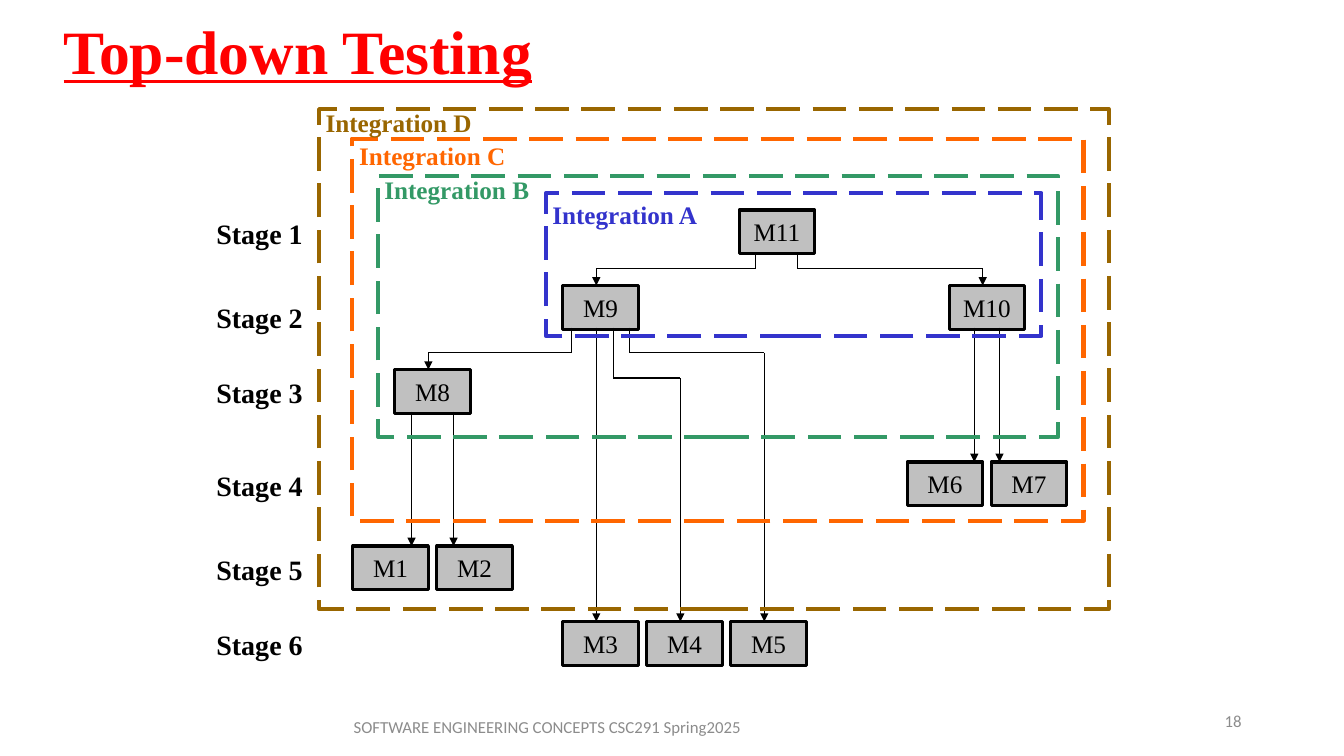
from lxml import etree
from pptx import Presentation
from pptx.dml.color import RGBColor
from pptx.enum.dml import MSO_LINE
from pptx.enum.shapes import MSO_CONNECTOR, MSO_SHAPE
from pptx.enum.text import MSO_ANCHOR, PP_ALIGN
from pptx.oxml.ns import qn
from pptx.util import Cm, Pt

LEFT, CENTER, RIGHT = PP_ALIGN.LEFT, PP_ALIGN.CENTER, PP_ALIGN.RIGHT
TOP, MIDDLE = MSO_ANCHOR.TOP, MSO_ANCHOR.MIDDLE
RECTANGLE = MSO_SHAPE.RECTANGLE
STRAIGHT = MSO_CONNECTOR.STRAIGHT
LONG_DASH = MSO_LINE.LONG_DASH

SERIF, SANS = "Times New Roman", "Calibri"
COLORS = {
    "title": "FF0000", "ink": "000000", "module": "C0C0C0", "footer": "8C8C8C",
    "A": "3333CC", "B": "339966", "C": "FF6600", "D": "996600",
}

# The diagram sits on a grid of twelve units to 2.54 cm.
MODULE_WIDTH, MODULE_HEIGHT = 9, 5.2
MODULES = {
    "M9": (67, 34), "M8": (47, 44), "M1": (42, 65), "M2": (52, 65),
    "M3": (67, 74), "M4": (77, 74), "M5": (87, 74), "M6": (108, 55),
    "M7": (118, 55), "M10": (113, 34), "M11": (88, 25),
}
# Start x and y, y of the bend, end x and y
CALLS = [
    (90, 30, 32, 71, 34), (95, 30, 32, 117, 34),
    (68, 39, 42, 51, 44), (71, 39, None, 71, 74),
    (73, 39, 45, 81, 74), (75, 39, 42, 91, 74),
    (49, 49, None, 49, 65), (54, 49, None, 54, 65),
    (116, 39, None, 116, 55), (119, 39, None, 119, 55),
]
# Frame left, top, width, height, then label left and top
INTEGRATIONS = {
    "C": (41.9, 16.5, 87.1, 45.5, 42, 16),
    "A": (65, 23, 59, 17, 65, 23),
    "B": (45, 21, 81, 31, 45, 20),
    "D": (38, 13, 94, 59.5, 38, 12),
}
STAGE_TOPS = [25, 35, 44, 55, 65, 74]


def grid(units):
    return Cm(2.54 * units / 12)


def color(name):
    return RGBColor.from_string(COLORS[name])


def write(shape, text, size, ink, font=SERIF, bold=False, align=LEFT, anchor=TOP):
    frame = shape.text_frame
    frame.word_wrap = True
    frame.vertical_anchor = anchor
    frame.text = text
    para = frame.paragraphs[0]
    para.alignment = align
    para.font.name = font
    para.font.size = Pt(size)
    para.font.bold = bold
    para.font.color.rgb = color(ink)
    return para


def set_insets(shape, inset=Cm(0.16)):
    frame = shape.text_frame
    frame.margin_left = frame.margin_right = inset
    frame.margin_top = frame.margin_bottom = inset


def add_title(page, text):
    title = page.shapes.title
    title.left, title.top, title.width, title.height = Cm(1.35), Cm(0.4), Cm(29.9), Cm(1.95)
    para = write(title, text, 44, "title", bold=True, anchor=MIDDLE)
    para.font.underline = True
    para.line_spacing = 0.9


def add_box(page, left, top, width, height, line, weight):
    box = page.shapes.add_shape(RECTANGLE, grid(left), grid(top), grid(width), grid(height))
    box.shadow.inherit = False
    box.line.color.rgb = color(line)
    box.line.width = Pt(weight)
    return box


def add_module(page, name, left, top):
    box = add_box(page, left, top, MODULE_WIDTH, MODULE_HEIGHT, "ink", 2.25)
    box.fill.solid()
    box.fill.fore_color.rgb = color("module")
    set_insets(box)
    write(box, name, 18, "ink", align=CENTER)


def add_label(page, text, left, top, width, height, size, ink):
    label = page.shapes.add_textbox(grid(left), grid(top), grid(width), grid(height))
    set_insets(label)
    write(label, text, size, ink, bold=True)


def add_integration(page, name, left, top, width, height, label_left, label_top):
    frame = add_box(page, left, top, width, height, name, 3)
    frame.fill.background()
    frame.line.dash_style = LONG_DASH
    add_label(page, f"Integration {name}", label_left, label_top, 21, 4.8, 18, name)


def add_segment(page, start, end, arrow):
    segment = page.shapes.add_connector(STRAIGHT, *map(grid, start + end))
    segment.line.color.rgb = color("ink")
    segment.line.width = Pt(0.75)
    properties = segment._element.spPr
    if arrow:
        etree.SubElement(properties.find(qn("a:ln")), qn("a:tailEnd"), type="triangle")
    etree.SubElement(properties, qn("a:effectLst"))


def add_call(page, start_x, start_y, bend_y, end_x, end_y):
    """Draw a call straight down, or by way of a level bend, to its arrowhead."""
    bends = [] if bend_y is None else [(start_x, bend_y), (end_x, bend_y)]
    points = [(start_x, start_y), *bends, (end_x, end_y)]
    for start, end in zip(points, points[1:]):
        add_segment(page, start, end, arrow=end == points[-1])


def add_footer(page, text, left, top, width):
    footer = page.shapes.add_textbox(Cm(left), Cm(top), Cm(width), Cm(1.01))
    write(footer, text, 12, "footer", font=SANS, align=RIGHT, anchor=MIDDLE)


def main():
    deck = Presentation()
    deck.slide_width, deck.slide_height = Cm(33.87), Cm(19.05)
    page = deck.slides.add_slide(deck.slide_layouts[5])
    add_title(page, "Top-down Testing")
    for name, position in MODULES.items():
        add_module(page, name, *position)
    for call in CALLS:
        add_call(page, *call)
    for name, places in INTEGRATIONS.items():
        add_integration(page, name, *places)
    for number, top in enumerate(STAGE_TOPS, start=1):
        add_label(page, f"Stage {number}", 25, top, 13, 5.2, 20, "ink")
    add_footer(page, "18", 23.92, 17.66, 7.62)
    add_footer(page, "SOFTWARE ENGINEERING CONCEPTS CSC291 Spring2025", 7.5, 17.8, 11.43)
    deck.save("out.pptx")


if __name__ == "__main__":
    main()
